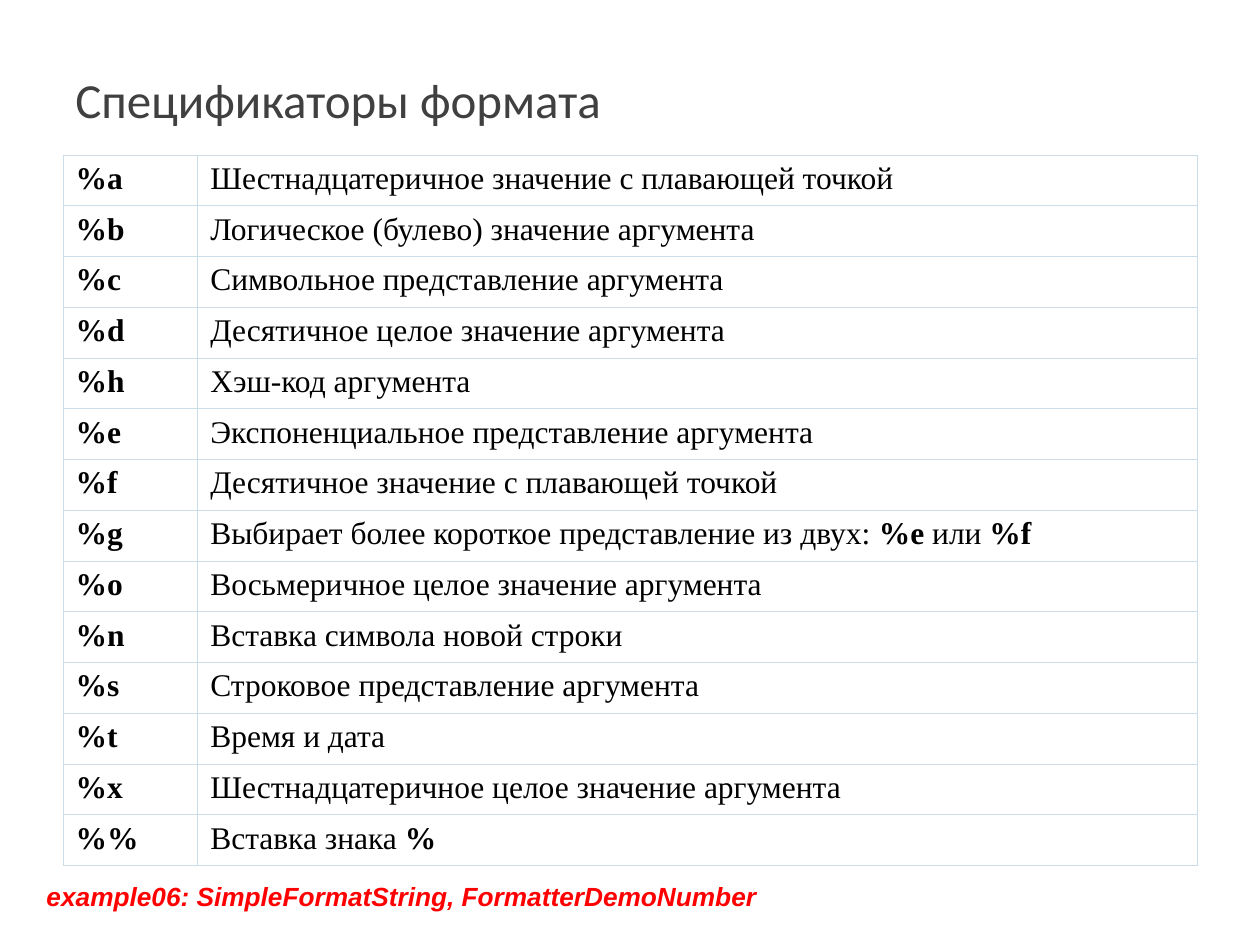
from lxml.etree import SubElement
from pptx import Presentation
from pptx.dml.color import RGBColor
from pptx.enum.text import MSO_ANCHOR as Anchor
from pptx.oxml.ns import qn
from pptx.util import Pt

BLACK = RGBColor(0x00, 0x00, 0x00)
GRAY = RGBColor(0x40, 0x40, 0x40)
RED = RGBColor(0xFF, 0x00, 0x00)
PALE_BLUE = RGBColor(0xCC, 0xDD, 0xEA)

# Each specifier is followed by its description, whose pieces alternate plain and bold.
SPECIFIERS = [
    ("%a", "Шестнадцатеричное значение с плавающей точкой"),
    ("%b", "Логическое (булево) значение аргумента"),
    ("%c", "Символьное представление аргумента"),
    ("%d", "Десятичное целое значение аргумента"),
    ("%h", "Хэш-код аргумента"),
    ("%e", "Экспоненциальное представление аргумента"),
    ("%f", "Десятичное значение с плавающей точкой"),
    ("%g", "Выбирает более короткое представление из двух: ", "%е ", "или ", "%f"),
    ("%o", "Восьмеричное целое значение аргумента"),
    ("%n", "Вставка символа новой строки"),
    ("%s", "Строковое представление аргумента"),
    ("%t", "Время и дата"),
    ("%x", "Шестнадцатеричное целое значение аргумента"),
    ("%%", "Вставка знака ", "%"),
]
SPECIFIER_WIDTH = 77
BORDER_WIDTH = 0.45


def set_font(font, name, size, color):
    font.name = name
    font.size = Pt(size)
    font.color.rgb = color


def add_line(slide, box, text, name, size, color, anchor=Anchor.TOP):
    """Add a one-paragraph text box and return its paragraph."""
    frame = slide.shapes.add_textbox(*map(Pt, box)).text_frame
    frame.word_wrap = True
    frame.vertical_anchor = anchor
    line = frame.paragraphs[0]
    line.text = text
    set_font(line.font, name, size, color)
    return line


def add_title(slide, box):
    title = add_line(slide, box, "Спецификаторы формата", "Calibri", 28, GRAY, Anchor.BOTTOM)
    title.line_spacing = 0.85


def add_example_note(slide, box):
    note = add_line(slide, box, "example06: SimpleFormatString, FormatterDemoNumber",
                    "Arial", 15, RED)
    note.font.bold = True
    note.font.italic = True


def outline_cell(cell):
    properties = cell._tc.get_or_add_tcPr()
    for position, side in enumerate(("lnL", "lnR", "lnT", "lnB")):
        border = SubElement(properties, qn(f"a:{side}"), w=str(Pt(BORDER_WIDTH)))
        properties.insert(position, border)
        fill = SubElement(border, qn("a:solidFill"))
        SubElement(fill, qn("a:srgbClr"), val=str(PALE_BLUE))


def fill_cell(cell, pieces, bold_parity):
    """Write the pieces as runs; those whose index has bold_parity are bold."""
    cell.fill.background()
    outline_cell(cell)
    paragraph = cell.text_frame.paragraphs[0]
    set_font(paragraph.font, "Times New Roman", 18, BLACK)
    for index, piece in enumerate(pieces):
        run = paragraph.add_run()
        run.text = piece
        run.font.bold = index % 2 == bold_parity


def add_specifier_table(slide, box):
    width, height = box[2:]
    table = slide.shapes.add_table(len(SPECIFIERS), 2, *map(Pt, box)).table
    table.first_row = table.horz_banding = False
    table.columns[0].width = Pt(SPECIFIER_WIDTH)
    table.columns[1].width = Pt(width - SPECIFIER_WIDTH)
    for row, (specifier, *description) in zip(table.rows, SPECIFIERS):
        row.height = Pt(height / len(SPECIFIERS))
        fill_cell(row.cells[0], [specifier], bold_parity=0)
        fill_cell(row.cells[1], description, bold_parity=1)


def main():
    deck = Presentation()
    deck.slide_width, deck.slide_height = Pt(720), Pt(540)
    slide = deck.slides.add_slide(deck.slide_layouts[6])
    add_title(slide, (36, 9.4, 608, 67.6))
    add_specifier_table(slide, (36, 88.6, 648, 406))
    add_example_note(slide, (19.5, 499.7, 629, 25.2))
    deck.save("out.pptx")


if __name__ == "__main__":
    main()
